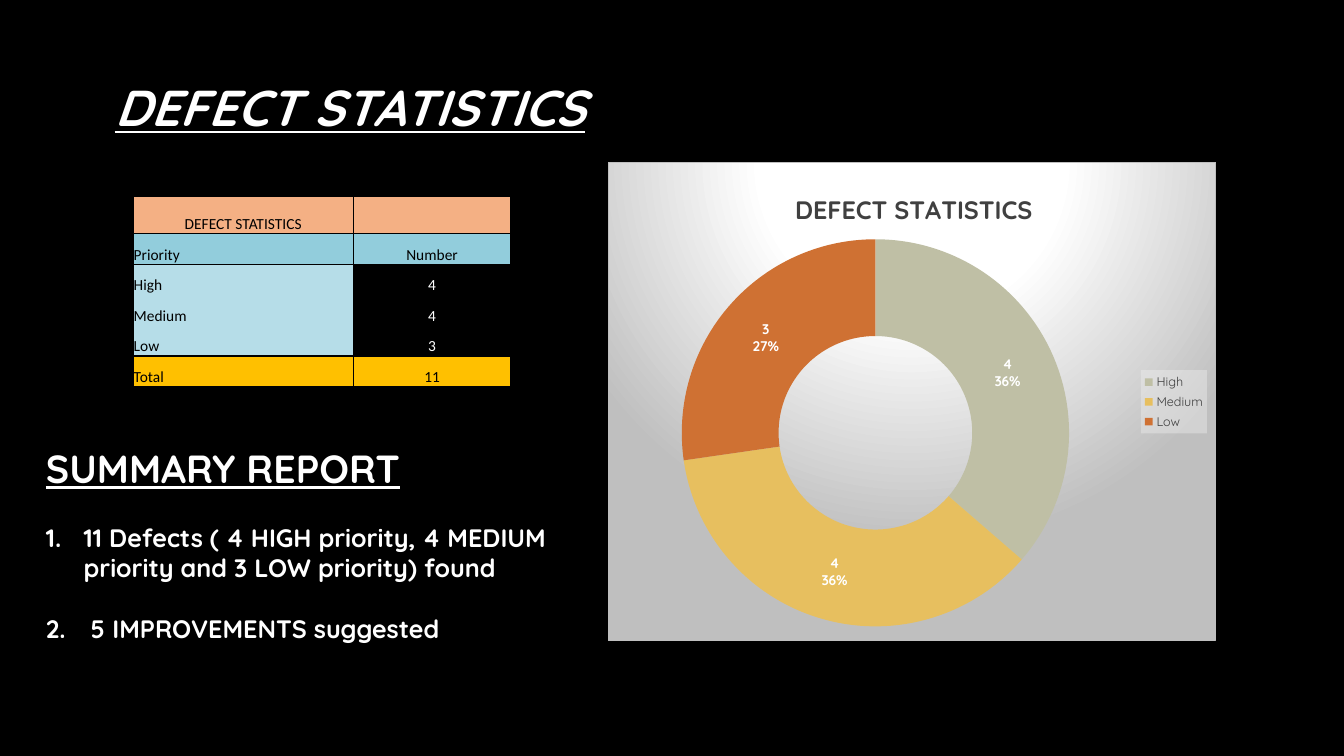
"""Build the defect statistics slide with its table, doughnut chart and summary."""
from dataclasses import dataclass

from lxml.etree import SubElement
from pptx import Presentation
from pptx.chart.data import CategoryChartData
from pptx.dml.color import RGBColor
from pptx.enum.chart import XL_CHART_TYPE, XL_LEGEND_POSITION
from pptx.enum.text import MSO_ANCHOR, PP_ALIGN
from pptx.oxml import parse_xml
from pptx.oxml.ns import nsdecls, qn
from pptx.util import Cm, Pt

COLORS = {
    "black": "000000", "white": "FFFFFF", "gray": "BFBFBF", "dark": "404040",
    "peach": "F4B084", "teal": "92CDDC", "sky": "B6DDE8", "amber": "FFC000",
    "High": "BFBFA5", "Medium": "E7BF5F", "Low": "CF7133", "legend": "F2F2F2",
}
DISPLAY_FONT = "Quicksand"
DEFECTS = {"High": 4, "Medium": 4, "Low": 3}


@dataclass
class Row:
    label: str
    number: str
    label_fill: str
    number_fill: str | None
    number_color: str = "black"
    top: bool = True
    bottom: bool = True


@dataclass
class Line:
    text: str
    size: int
    underline: bool = False
    italic: bool = False
    numbered: bool = False
    space_after: float = 0


def defect_rows() -> list[Row]:
    last = len(DEFECTS) - 1
    body = [Row(name, str(count), "sky", None, "white", index == 0, index == last)
            for index, (name, count) in enumerate(DEFECTS.items())]
    return [
        Row("DEFECT STATISTICS", "", "peach", "peach"),
        Row("Priority", "Number", "teal", "teal"),
        *body,
        Row("Total", str(sum(DEFECTS.values())), "amber", "amber"),
    ]


def color(name: str) -> RGBColor:
    return RGBColor.from_string(COLORS[name])


def style_font(font, name: str, size: float, tint: str, bold: bool = False) -> None:
    font.name, font.size, font.bold = name, Pt(size), bold
    font.color.rgb = color(tint)


def add_borders(cell, row: Row) -> None:
    properties = cell._tc.get_or_add_tcPr()
    sides = {"lnL": True, "lnR": True, "lnT": row.top, "lnB": row.bottom}
    for position, (tag, visible) in enumerate(sides.items()):
        paint = (f'<a:solidFill><a:srgbClr val="{COLORS["black"]}"/></a:solidFill>'
                 if visible else "<a:noFill/>")
        border = parse_xml(f'<a:{tag} {nsdecls("a")} w="12700">{paint}</a:{tag}>')
        properties.insert(position, border)


def fill_cell(cell, row: Row, text: str, fill: str | None, tint: str, centered: bool) -> None:
    cell.margin_left = cell.margin_right = cell.margin_top = Cm(0.02)
    cell.margin_bottom = 0
    cell.vertical_anchor = MSO_ANCHOR.BOTTOM
    paragraph = cell.text_frame.paragraphs[0]
    paragraph.alignment = PP_ALIGN.CENTER if centered else PP_ALIGN.LEFT
    run = paragraph.add_run()
    run.text = text
    style_font(run.font, "Calibri", 11, tint)
    if fill:
        cell.fill.solid()
        cell.fill.fore_color.rgb = color(fill)
    else:
        cell.fill.background()
    add_borders(cell, row)


def add_defect_table(slide) -> None:
    rows = defect_rows()
    frame = slide.shapes.add_table(len(rows), 2, Cm(3.35), Cm(4.95), Cm(9.52), Cm(4.79))
    table = frame.table
    table.first_row = table.horz_banding = False
    for column, width in zip(table.columns, (5.56, 3.96)):
        column.width = Cm(width)
    for index, row in enumerate(rows):
        table.rows[index].height = Cm(0.77 if index else 0.94)
        fill_cell(table.cell(index, 0), row, row.label, row.label_fill, "black", index == 0)
        fill_cell(table.cell(index, 1), row, row.number, row.number_fill, row.number_color, True)


def place(parent, position: int, **fractions: float) -> None:
    for old in parent.findall(qn("c:layout")):
        parent.remove(old)
    layout = parse_xml(f'<c:layout {nsdecls("c")}><c:manualLayout/></c:layout>')
    manual = layout[0]
    if "w" in fractions:
        SubElement(manual, qn("c:layoutTarget")).set("val", "inner")
    for axis in ("x", "y"):
        SubElement(manual, qn(f"c:{axis}Mode")).set("val", "edge")
    for name, value in fractions.items():
        SubElement(manual, qn(f"c:{name}")).set("val", str(value))
    parent.insert(position, layout)


def fill_chart_area(chart) -> None:
    stops = "".join(
        f'<a:gs pos="{position}"><a:srgbClr val="{COLORS[name]}"/></a:gs>'
        for position, name in ((0, "white"), (39000, "white"), (100000, "gray")))
    chart._chartSpace.find(qn("c:chart")).addnext(parse_xml(
        f'<c:spPr {nsdecls("c", "a")}><a:gradFill><a:gsLst>{stops}</a:gsLst>'
        '<a:path path="circle"><a:fillToRect l="50000" t="-80000" r="50000" b="180000"/>'
        '</a:path></a:gradFill><a:ln w="9525"><a:solidFill>'
        f'<a:srgbClr val="{COLORS["gray"]}"/></a:solidFill></a:ln></c:spPr>'))


def add_legend(chart) -> None:
    chart.has_legend = True
    legend = chart.legend
    legend.position = XL_LEGEND_POSITION.RIGHT
    legend.include_in_layout = False
    style_font(legend.font, DISPLAY_FONT, 9, "dark")
    legend._element.find(qn("c:txPr")).addprevious(parse_xml(
        f'<c:spPr {nsdecls("c", "a")}><a:solidFill><a:srgbClr val="{COLORS["legend"]}">'
        '<a:alpha val="39000"/></a:srgbClr></a:solidFill></c:spPr>'))


def add_defect_chart(slide) -> None:
    data = CategoryChartData()
    data.categories = list(DEFECTS)
    data.add_series("Series 1", list(DEFECTS.values()))
    chart = slide.shapes.add_chart(XL_CHART_TYPE.DOUGHNUT, Cm(15.32), Cm(4.09),
                                   Cm(15.32), Cm(12.07), data).chart
    style_font(chart.font, DISPLAY_FONT, 10, "white")
    fill_chart_area(chart)
    chart.has_title = True
    title = chart.chart_title
    title.text_frame.text = "DEFECT STATISTICS"
    style_font(title.text_frame.paragraphs[0].runs[0].font, DISPLAY_FONT, 18, "dark", True)
    title.include_in_layout = False
    place(title._element, 1, x=0.3, y=0.05)
    place(chart._chartSpace.chart.plotArea, 0, x=0.12, y=0.16, w=0.64, h=0.81)
    add_legend(chart)
    plot = chart.plots[0]
    plot.vary_by_categories = True
    series = plot.series[0]
    for index, name in enumerate(DEFECTS):
        point = series.points[index].format
        point.fill.solid()
        point.fill.fore_color.rgb = color(name)
        point.line.fill.background()
    labels = series.data_labels
    labels.show_value = labels.show_percentage = True
    style_font(labels.font, DISPLAY_FONT, 10, "white", True)
    separator = parse_xml(f'<c:separator {nsdecls("c")}>\n</c:separator>')
    labels._element.find(qn("c:showBubbleSize")).addnext(separator)


def add_text(slide, box: tuple[float, float, float, float], lines: list[Line]) -> None:
    frame = slide.shapes.add_textbox(*map(Cm, box)).text_frame
    frame.word_wrap = True
    frame.text = "\n".join(line.text for line in lines)
    for paragraph, line in zip(frame.paragraphs, lines):
        paragraph.space_after = Pt(line.space_after)
        if line.numbered:
            properties = paragraph._p.get_or_add_pPr()
            properties.set("marL", str(Cm(0.95)))
            properties.set("indent", str(-Cm(0.95)))
            SubElement(properties, qn("a:buFont")).set("typeface", "+mj-lt")
            SubElement(properties, qn("a:buAutoNum")).set("type", "arabicPeriod")
        font = paragraph.runs[0].font
        style_font(font, DISPLAY_FONT, line.size, "white", True)
        font.underline, font.italic = line.underline, line.italic


def main() -> None:
    presentation = Presentation()
    presentation.slide_width, presentation.slide_height = Cm(33.87), Cm(19.05)
    slide = presentation.slides.add_slide(presentation.slide_layouts[6])
    slide.background.fill.solid()
    slide.background.fill.fore_color.rgb = color("black")
    add_defect_table(slide)
    add_defect_chart(slide)
    add_text(slide, (0.91, 11.07, 14.38, 6.07), [
        Line("SUMMARY REPORT", 28, underline=True, space_after=22),
        Line("11 Defects ( 4 HIGH priority, 4 MEDIUM priority and 3 LOW priority) found", 18,
             numbered=True, space_after=22),
        Line(" 5 IMPROVEMENTS suggested", 18, numbered=True),
    ])
    add_text(slide, (2.64, 1.8, 13.94, 1.8),
             [Line("DEFECT STATISTICS", 36, underline=True, italic=True)])
    presentation.save("out.pptx")


if __name__ == "__main__":
    main()
